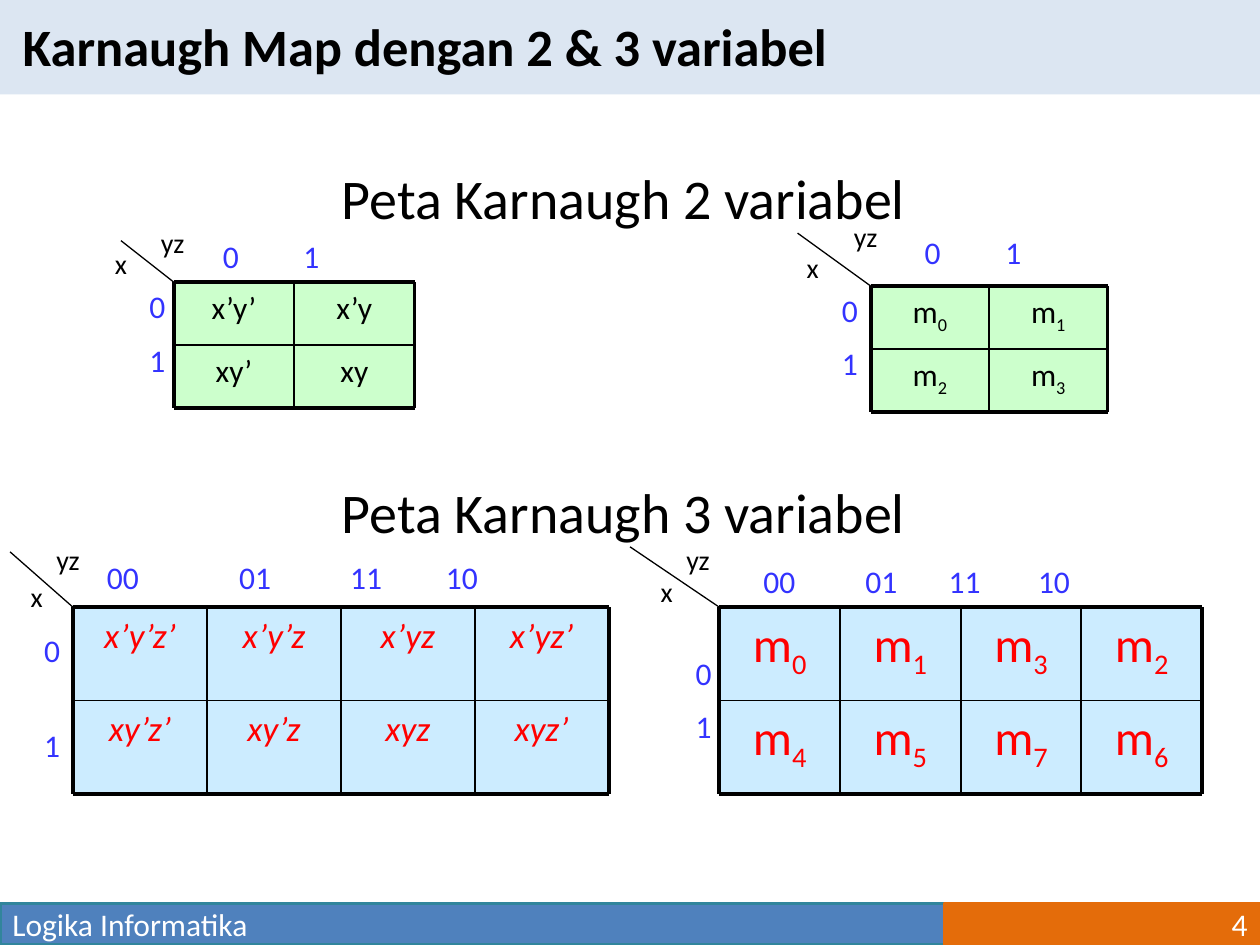
from dataclasses import dataclass

from lxml.etree import SubElement
from pptx import Presentation
from pptx.dml.color import RGBColor
from pptx.enum.shapes import MSO_CONNECTOR, MSO_SHAPE
from pptx.enum.text import MSO_ANCHOR as Anchor, MSO_AUTO_SIZE as AutoSize, PP_ALIGN as Align
from pptx.oxml.ns import qn
from pptx.util import Inches, Pt


@dataclass(frozen=True)
class Theme:
    font: str = "Calibri"
    ink: str = "000000"
    white: str = "FFFFFF"
    band: str = "DCE6F2"
    footer: str = "4F81BD"
    footer_edge: str = "31859C"
    number: str = "E46C0A"
    green: str = "CCFFCC"
    blue: str = "CCECFF"
    red: str = "FF0000"
    label: str = "3333FF"
    title_size: int = 30
    heading_size: int = 32
    label_size: int = 18
    axis_size: int = 16
    term_size: int = 20
    minterm_size: int = 28
    thick: float = 2.25
    thin: float = 1
    hairline: float = 0.75


THEME = Theme()


def color(value):
    return RGBColor.from_string(value)


def write(frame, *lines, size=THEME.label_size, ink=THEME.ink, bold=False, italic=False,
          align=Align.CENTER, anchor=Anchor.TOP, wrap=True, gap=0, stops=()):
    """Fill a text frame; "_" in a line starts a subscript, gap is points between lines."""
    frame.word_wrap = wrap
    frame.auto_size = AutoSize.NONE
    frame.vertical_anchor = anchor
    for index, line in enumerate(lines):
        para = frame.paragraphs[0] if index == 0 else frame.add_paragraph()
        para.alignment = align
        para.space_before = Pt(gap if index else 0)
        if stops:
            tabs = SubElement(para._p.get_or_add_pPr(), qn("a:tabLst"))
            for stop in stops:
                SubElement(tabs, qn("a:tab"), pos=str(Inches(stop)), algn="l")
        for part, text in enumerate(line.split("_")):
            span = para.add_run()
            span.text = text
            font = span.font
            font.name, font.size, font.bold, font.italic = THEME.font, Pt(size), bold, italic
            font.color.rgb = color(ink)
            if part:
                span._r.get_or_add_rPr().set("baseline", "-25000")


def add_text(shapes, box, *lines, **style):
    write(shapes.add_textbox(*map(Inches, box)).text_frame, *lines, **style)


def add_rect(shapes, box, fill, edge=None):
    rect = shapes.add_shape(MSO_SHAPE.RECTANGLE, *map(Inches, box))
    rect.shadow.inherit = False
    rect.fill.solid()
    rect.fill.fore_color.rgb = color(fill)
    if edge:
        rect.line.color.rgb = color(edge)
        rect.line.width = Pt(2)
    else:
        rect.line.fill.background()
    return rect


def add_line(shapes, start, end, width):
    line = shapes.add_connector(MSO_CONNECTOR.STRAIGHT, *map(Inches, (*start, *end)))
    line.line.color.rgb = color(THEME.ink)
    line.line.width = Pt(width)
    SubElement(line._element.spPr, qn("a:effectLst"))


def add_header(page, box, text):
    add_rect(page.shapes, box, THEME.band)
    title = page.shapes.title
    left, top, _, height = box
    title.left, title.top = Inches(left + 0.08), Inches(top + 0.06)
    title.width, title.height = Inches(6.65), Inches(height - 0.14)
    write(title.text_frame, text, size=THEME.title_size, bold=True, align=Align.LEFT, wrap=False)
    page.shapes._spTree.append(title._element)  # in front of the band


def add_footer(page, box, text, number):
    left, top, width, height = box
    split = width * 0.75
    bar = add_rect(page.shapes, (left, top, split, height), THEME.footer, THEME.footer_edge)
    write(bar.text_frame, text, ink=THEME.white, align=Align.LEFT, anchor=Anchor.MIDDLE)
    tab = add_rect(page.shapes, (left + split, top, width - split, height),
                   THEME.number, THEME.number)
    write(tab.text_frame, number, ink=THEME.white, align=Align.RIGHT, anchor=Anchor.MIDDLE)


def add_grid(shapes, box, terms, fill, **style):
    left, top, width, height = box
    rows, columns = len(terms), len(terms[0])
    cell_width, cell_height = width / columns, height / rows
    for row, line in enumerate(terms):
        for column, term in enumerate(line):
            cell = add_rect(shapes, (left + column * cell_width, top + row * cell_height,
                                     cell_width, cell_height), fill)
            write(cell.text_frame, term, **style)
    for row in range(rows + 1):
        y = top + row * cell_height
        add_line(shapes, (left, y), (left + width, y),
                 THEME.thick if row in (0, rows) else THEME.thin)
    for column in range(columns + 1):
        x = left + column * cell_width
        add_line(shapes, (x, top), (x, top + height),
                 THEME.thick if column in (0, columns) else THEME.thin)


def add_map(page, box, terms, fill, heads, head_box, stops, row_labels, corner, x_at, yz_at,
            **style):
    """Karnaugh map: grid in box, column heads on tab stops, row labels and axis names."""
    shapes = page.shapes.add_group_shape().shapes
    add_grid(shapes, box, [row.split() for row in terms], fill, **style)
    add_text(shapes, head_box, "\t".join(heads.split()), ink=THEME.label, align=Align.LEFT,
             stops=stops)
    for label_box, labels in row_labels:
        add_text(shapes, label_box, *labels, ink=THEME.label, gap=9)
    add_line(shapes, box[:2], corner, THEME.hairline)
    for name, place in (("x", x_at), ("yz", yz_at)):
        add_text(shapes, (*place, 0.58, 0.37), name, size=THEME.axis_size)


def main():
    deck = Presentation()
    deck.slide_width, deck.slide_height = Inches(10), Inches(7.5)
    page = deck.slides.add_slide(deck.slide_layouts[5])

    add_header(page, (0, 0, 10, 0.75), "Karnaugh Map dengan 2 & 3 variabel")
    add_footer(page, (0, 7.17, 10, 0.33), "Logika Informatika", "4")
    add_text(page.shapes, (0.5, 1.25, 9, 5.2), "Peta Karnaugh 2 variabel ",
             "Peta Karnaugh 3 variabel ", size=THEME.heading_size, gap=141)

    two = dict(fill=THEME.green, heads="0 1", stops=(0.64,))
    add_map(page, (1.38, 2.24, 1.91, 1), ("x’y’ x’y", "xy’ xy"), **two,
            head_box=(1.67, 1.83, 1.58, 0.5), row_labels=[((1, 2.23, 0.5, 1.1), "01")],
            corner=(0.96, 1.91), x_at=(0.67, 1.91), yz_at=(1.08, 1.74))
    add_map(page, (6.91, 2.27, 1.88, 1), ("m_0 m_1", "m_2 m_3"), **two,
            head_box=(7.24, 1.8, 1.58, 0.5), row_labels=[((6.41, 2.26, 0.67, 1.1), "01")],
            corner=(6.33, 1.85), x_at=(6.16, 1.94), yz_at=(6.58, 1.69))

    three = dict(fill=THEME.blue, heads="00 01 11 10", ink=THEME.red)
    add_map(page, (5.71, 4.82, 3.83, 1.48), ("m_0 m_1 m_3 m_2", "m_4 m_5 m_7 m_6"), **three,
            head_box=(5.96, 4.41, 3.58, 0.4), stops=(0.81, 1.47, 2.18),
            row_labels=[((5.25, 5.14, 0.67, 1.1), "01")], corner=(5, 4.34),
            x_at=(5, 4.51), yz_at=(5.25, 4.26), size=THEME.minterm_size)
    add_map(page, (0.58, 4.82, 4.25, 1.48),
            ("x’y’z’ x’y’z x’yz x’yz’", "xy’z’ xy’z xyz xyz’"), **three,
            head_box=(0.75, 4.38, 3.75, 0.4), stops=(1.05, 1.93, 2.69),
            row_labels=[((0.08, 4.96, 0.67, 0.5), "0"), ((0.08, 5.71, 0.67, 0.5), "1")],
            corner=(0.08, 4.38), x_at=(0, 4.55), yz_at=(0.25, 4.26),
            size=THEME.term_size, italic=True)

    deck.save("out.pptx")


if __name__ == "__main__":
    main()
